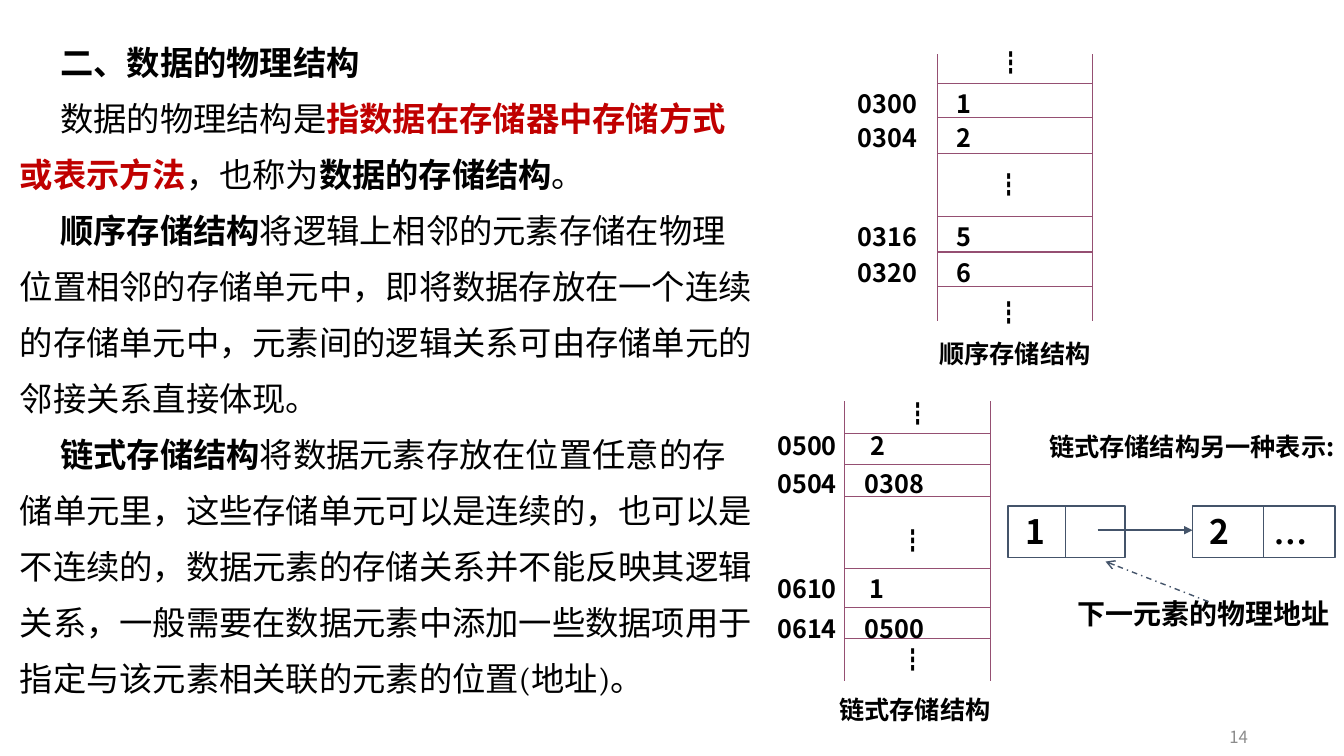
"""Builds the slide on sequential and linked storage structures."""
from lxml.etree import SubElement
from pptx import Presentation
from pptx.dml.color import RGBColor
from pptx.enum.dml import MSO_LINE_DASH_STYLE as DASH
from pptx.enum.shapes import MSO_CONNECTOR as CONN, MSO_SHAPE as SHAPE
from pptx.enum.text import MSO_ANCHOR as ANCHOR, PP_ALIGN as ALIGN
from pptx.oxml.ns import qn
from pptx.util import Cm, Pt

BLACK = RGBColor(0x00, 0x00, 0x00)
RED = RGBColor(0xC0, 0x00, 0x00)
GRAY = RGBColor(0x8C, 0x8C, 0x8C)
PLUM = RGBColor(0x95, 0x4F, 0x72)
SLATE = RGBColor(0x44, 0x54, 0x6A)
SANS = "Noto Sans CJK SC"
LABEL = {"name": SANS, "size": Pt(18), "bold": True}

prs = Presentation()
prs.slide_width, prs.slide_height = Cm(33.87), Cm(19.05)
s = prs.slides.add_slide(prs.slide_layouts[6])


def add_run(p, text, fmt, color=BLACK):
    r = p.add_run()
    r.text = text
    for key, value in fmt.items():
        setattr(r.font, key, value)
    r.font.color.rgb = color
    SubElement(r.font._element, qn("a:ea")).set("typeface", SANS)


def add_line(x1, y1, x2, y2, color=PLUM, width=0.75, head=None):
    c = s.shapes.add_connector(CONN.STRAIGHT, Cm(x1), Cm(y1), Cm(x2), Cm(y2))
    c.line.color.rgb = color
    c.line.width = Pt(width)
    if head:
        SubElement(c.line._get_or_add_ln(), qn("a:tailEnd")).set("type", head)
    SubElement(c._element.spPr, qn("a:effectLst"))
    return c


BODY = [
    [("二、数据的物理结构", True, BLACK)],
    [("数据的物理结构是", False, BLACK),
     ("指数据在存储器中存储方式或表示方法", True, RED),
     ("，也称为", False, BLACK),
     ("数据的存储结构", True, BLACK),
     ("。", False, BLACK)],
    [("顺序存储结构", True, BLACK),
     ("将逻辑上相邻的元素存储在物理位置相邻的存储单元中，即将数据存放在一个连续的存储单元中，"
      "元素间的逻辑关系可由存储单元的邻接关系直接体现。", False, BLACK)],
    [("链式存储结构", True, BLACK),
     ("将数据元素存放在位置任意的存储单元里，这些存储单元可以是连续的，也可以是不连续的，"
      "数据元素的存储关系并不能反映其逻辑关系，一般需要在数据元素中添加一些数据项用于指定与该"
      "元素相关联的元素的位置(地址)。", False, BLACK)],
]
tf = s.shapes.add_textbox(Cm(0.25), Cm(0.53), Cm(19.05), Cm(17.86)).text_frame
tf.word_wrap = True
for i, runs in enumerate(BODY):
    p = tf.paragraphs[0] if i == 0 else tf.add_paragraph()
    p.line_spacing = 1.4
    p._p.get_or_add_pPr().set("indent", str(Cm(1.02)))
    for text, bold, color in runs:
        add_run(p, text, {"name": "Cambria", "size": Pt(23.8), "bold": bold}, color)

MEMORIES = [
    {"left": 23.62, "right": 27.53, "top": 1.37, "bottom": 8.1,
     "rows": (2.11, 2.97, 3.86, 5.46, 6.35, 7.21),
     "address_x": 21.36,
     "cells": [("0300", "1", 23.85, 2.11), ("0304", "2", 23.85, 2.97),
               ("0316", "5", 23.85, 5.46), ("0320", "6", 23.85, 6.35)],
     "dots": [(24.92, 1.07), (24.87, 4.14), (24.87, 7.37)],
     "caption": (23.42, 8.41, "顺序存储结构")},
    {"left": 21.29, "right": 24.97, "top": 10.11, "bottom": 17.15,
     "rows": (10.92, 11.71, 12.52, 14.33, 15.32, 16.1),
     "address_x": 19.34,
     "cells": [("0500", "2", 21.69, 10.72), ("0504", "0308", 21.54, 11.68),
               ("0610", "1", 21.67, 14.33), ("0614", "0500", 21.54, 15.32)],
     "dots": [(22.56, 9.91), (22.45, 13.11), (22.45, 16.1)],
     "caption": (20.9, 17.37, "链式存储结构")},
]
labels = [(26.19, 10.74, 8.28, "链式存储结构另一种表示:", 18),
          (26.9, 14.91, 7.21, "下一元素的物理地址", 20)]
for mem in MEMORIES:
    for x in (mem["left"], mem["right"]):
        add_line(x, mem["top"], x, mem["bottom"])
    for y in mem["rows"]:
        add_line(mem["left"], y, mem["right"], y)
    for address, value, value_x, y in mem["cells"]:
        labels += [(mem["address_x"], y, 2.2, address, 18),
                   (value_x, y, 2.2, value, 18)]
    labels += [(x, y, 1.2, "┇", 18) for x, y in mem["dots"]]
    x, y, text = mem["caption"]
    labels.append((x, y, 4.75, text, 18))

for x, y, width, text, size in labels:
    tf = s.shapes.add_textbox(Cm(x), Cm(y), Cm(width), Cm(1.02)).text_frame
    tf.word_wrap = True
    add_run(tf.paragraphs[0], text, LABEL | {"size": Pt(size)})

NODES = [(25.4, 1.45, "1", SANS, 0.44), (26.85, 1.5, "", SANS, 0.25),
         (30.05, 1.8, "2", SANS, 0.44), (31.85, 1.8, "…", "Times New Roman", 0.25)]
for x, width, text, font, inset in NODES:
    sp = s.shapes.add_shape(SHAPE.RECTANGLE, Cm(x), Cm(12.75), Cm(width), Cm(1.3))
    sp.shadow.inherit = False
    sp.fill.background()
    sp.line.color.rgb = SLATE
    sp.line.width = Pt(1)
    tf = sp.text_frame
    tf.margin_left = Cm(inset)
    tf.vertical_anchor = ANCHOR.TOP
    p = tf.paragraphs[0]
    p.alignment = ALIGN.LEFT
    if text:
        add_run(p, text, {"name": font, "size": Pt(24), "bold": True})

add_line(27.66, 13.36, 30.05, 13.36, SLATE, 1, "triangle")
pointer = add_line(30.45, 15.16, 27.86, 14.15, SLATE, 1, "arrow")
pointer.line.dash_style = DASH.DASH_DOT

tf = s.shapes.add_textbox(Cm(24.08), Cm(18.06), Cm(7.62), Cm(1.02)).text_frame
tf.word_wrap = True
tf.vertical_anchor = ANCHOR.MIDDLE
p = tf.paragraphs[0]
p.alignment = ALIGN.RIGHT
add_run(p, "14", {"name": SANS, "size": Pt(12)}, GRAY)

prs.save("out.pptx")
